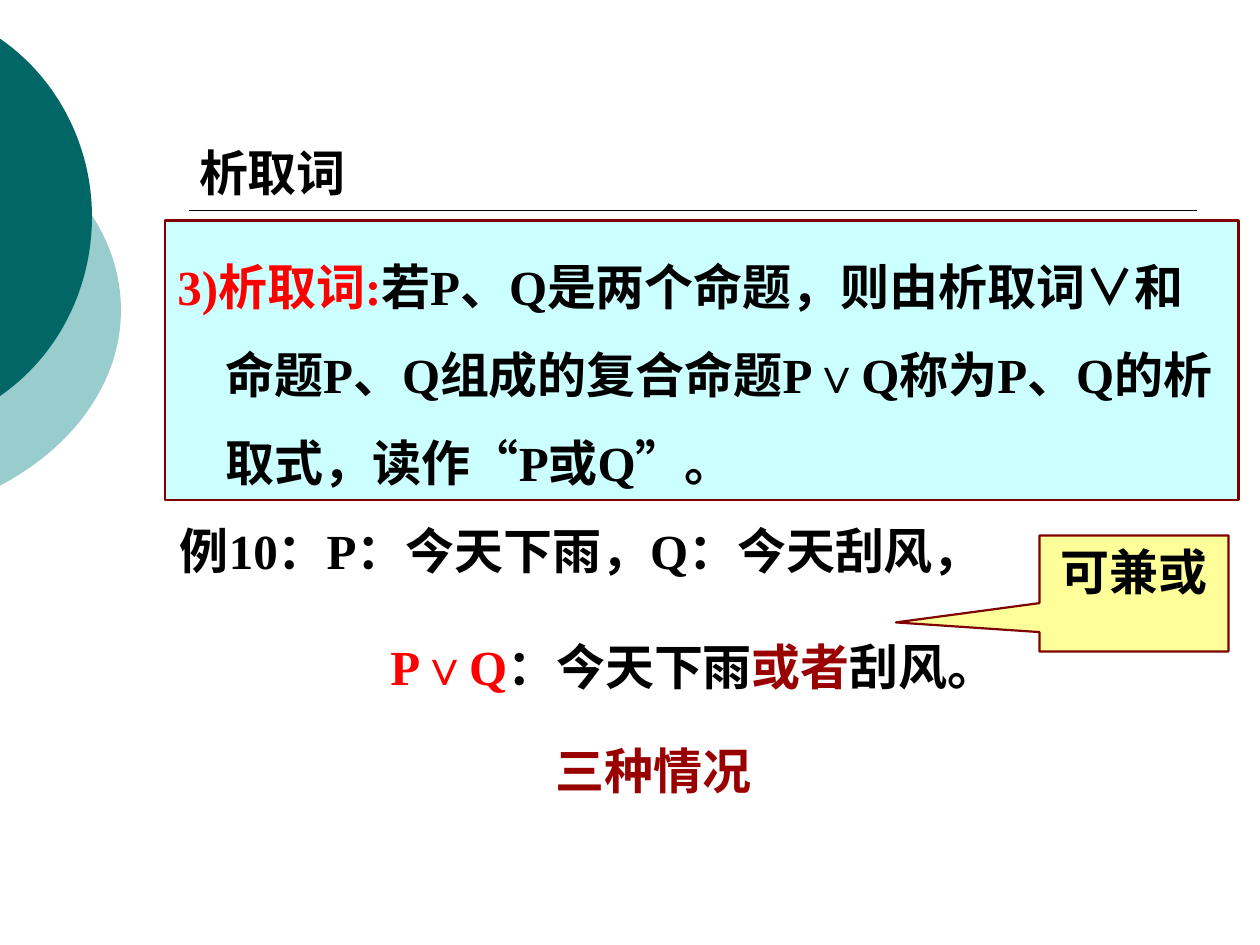
from pptx import Presentation
from pptx.dml.color import RGBColor
from pptx.enum import shapes, text
from pptx.oxml.ns import qn
from pptx.util import Inches, Pt

BLACK = RGBColor(0x00, 0x00, 0x00)
RED = RGBColor(0xFF, 0x00, 0x00)
CRIMSON = RGBColor(0x99, 0x00, 0x00)
MAROON = RGBColor(0x80, 0x00, 0x00)
TEAL = RGBColor(0x00, 0x66, 0x66)
MIST = RGBColor(0x99, 0xCC, 0xCC)
CYAN = RGBColor(0xCC, 0xFF, 0xFF)
YELLOW = RGBColor(0xFF, 0xFF, 0x99)

FONT = {"name": "Times New Roman", "size": Pt(28), "bold": True}
GROW = text.MSO_AUTO_SIZE.SHAPE_TO_FIT_TEXT
FIXED = text.MSO_AUTO_SIZE.NONE


def assign(item, values):
    for key, value in values.items():
        setattr(item, key, value)


def write(shape, runs, size=GROW, **layout):
    """Fill a shape with one paragraph of (words, colour) runs and return the paragraph."""
    frame = shape.text_frame
    assign(frame, {
        "word_wrap": True, "auto_size": size,
        "vertical_anchor": text.MSO_ANCHOR.TOP,
        "margin_left": Inches(0.1), "margin_right": Inches(0.1),
        "margin_top": Inches(0.05), "margin_bottom": Inches(0.05),
    })
    para = frame.paragraphs[0]
    assign(para, {"alignment": text.PP_ALIGN.LEFT, **layout})
    for words, color in runs:
        run = para.add_run()
        run.text = words
        assign(run.font, FONT)
        run.font.color.rgb = color
    return para


def add_title(slide, words, box):
    title = slide.shapes.title
    assign(title, dict(zip(("left", "top", "width", "height"), map(Inches, box))))
    write(title, [(words, BLACK)], FIXED)


def add_label(slide, box, runs):
    """Add a text box whose closing punctuation wraps instead of hanging."""
    para = write(slide.shapes.add_textbox(*map(Inches, box)), runs)
    para._p.get_or_add_pPr().set("hangingPunct", "0")


def add_panel(slide, kind, box, fill):
    panel = slide.shapes.add_shape(kind, *map(Inches, box))
    panel.shadow.inherit = False
    panel.fill.solid()
    panel.fill.fore_color.rgb = fill
    panel.line.color.rgb = MAROON
    panel.line.width = Pt(1.25)
    return panel


def add_disc(slide, box, start, curves, color):
    """Draw a disc cut by the slide edge, framed by box, with cubic curves from start."""
    left, top, width, height = (round(100 * n) for n in box)
    right, low = left + width, top + height
    build = slide.shapes.build_freeform(left, top, scale=Inches(0.01))
    build.add_line_segments([(right, top), (right, low), (left, low)], close=True)
    disc = build.convert_to_shape()
    disc.shadow.inherit = False
    disc.fill.solid()
    disc.fill.fore_color.rgb = color
    disc.line.fill.background()

    outline = next(disc._element.iter(qn("a:path")))
    for step in list(outline):
        outline.remove(step)
    steps = [("a:moveTo", [start])] + [("a:cubicBezTo", c) for c in curves] + [("a:close", [])]
    for tag, points in steps:
        step = outline.makeelement(qn(tag), {})
        outline.append(step)
        for x, y in points:
            step.append(step.makeelement(qn("a:pt"), {
                "x": str(round(100 * x) - left), "y": str(round(100 * y) - top)}))


def add_rule(slide, left, right, top):
    rule = slide.shapes.add_connector(
        shapes.MSO_CONNECTOR.STRAIGHT, *map(Inches, (left, top, right, top)))
    rule.line.color.rgb = BLACK
    rule.line.width = Pt(1)
    props = rule._element.spPr
    props.append(props.makeelement(qn("a:effectLst"), {}))


def main():
    deck = Presentation()
    deck.slide_width, deck.slide_height = Inches(10), Inches(7.5)
    slide = deck.slides.add_slide(deck.slide_layouts[5])

    add_disc(slide, (-3.54, 0.75, 4.5, 3.42), (-0.01, 1.06), [
        [(0.6, 1.38), (0.96, 1.9), (0.96, 2.46)],
        [(0.96, 3.02), (0.6, 3.54), (-0.01, 3.86)]], MIST)
    add_disc(slide, (-2.65, 0, 3.38, 3.45), (-0.01, 0.3), [
        [(0.46, 0.62), (0.73, 1.16), (0.73, 1.72)],
        [(0.73, 2.29), (0.46, 2.83), (-0.01, 3.15)]], TEAL)
    add_rule(slide, 1.5, 9.5, 1.67)
    add_title(slide, "析取词", (1.48, 1.08, 4.93, 0.57))

    kind = shapes.MSO_SHAPE
    rule = add_panel(slide, kind.RECTANGLE, (1.31, 1.75, 8.52, 2.22), CYAN)
    para = write(rule, [
        ("3)析取词:", RED),
        ("若P、Q是两个命题，则由析取词∨和命题P、Q组成的复合命题P∨Q"
         "称为P、Q的析取式，读作“P或Q”。", BLACK),
    ], line_spacing=1.5)
    indent = para._p.get_or_add_pPr()
    indent.set("marL", str(Inches(0.38)))
    indent.set("indent", str(-Inches(0.38)))

    add_label(slide, (1.33, 4.08, 6.91, 0.57),
              [("例10：P：今天下雨，Q：今天刮风，", BLACK)])
    add_label(slide, (3, 5, 5.17, 0.57), [
        ("P∨Q", RED), ("：今天下雨", BLACK), ("或者", CRIMSON), ("刮风。", BLACK)])

    callout = add_panel(slide, kind.RECTANGULAR_CALLOUT, (8.25, 4.25, 1.5, 0.92), YELLOW)
    callout.adjustments[0], callout.adjustments[1] = -1.26, 0.25
    write(callout, [("可兼或", BLACK)], FIXED, alignment=text.PP_ALIGN.CENTER)

    add_label(slide, (4.31, 5.83, 2.35, 0.57), [("三种情况", CRIMSON)])
    deck.save("out.pptx")


if __name__ == "__main__":
    main()
